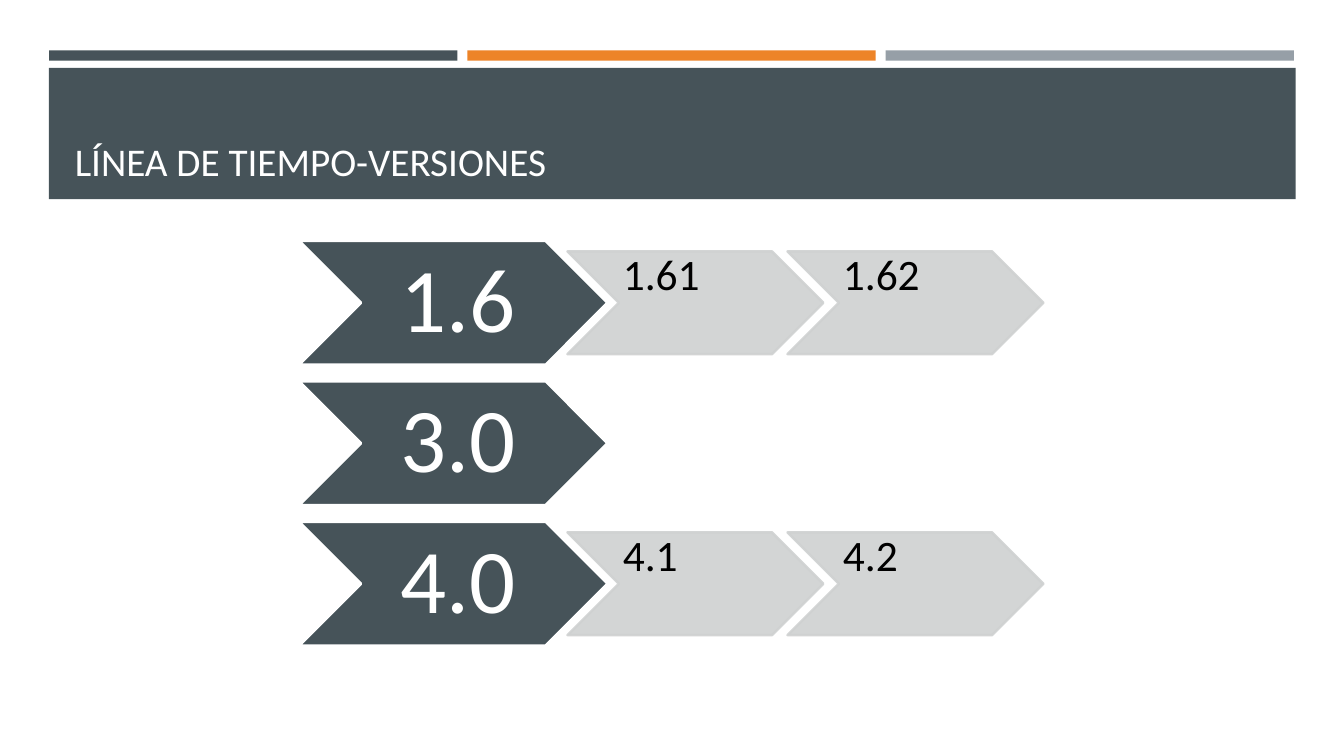
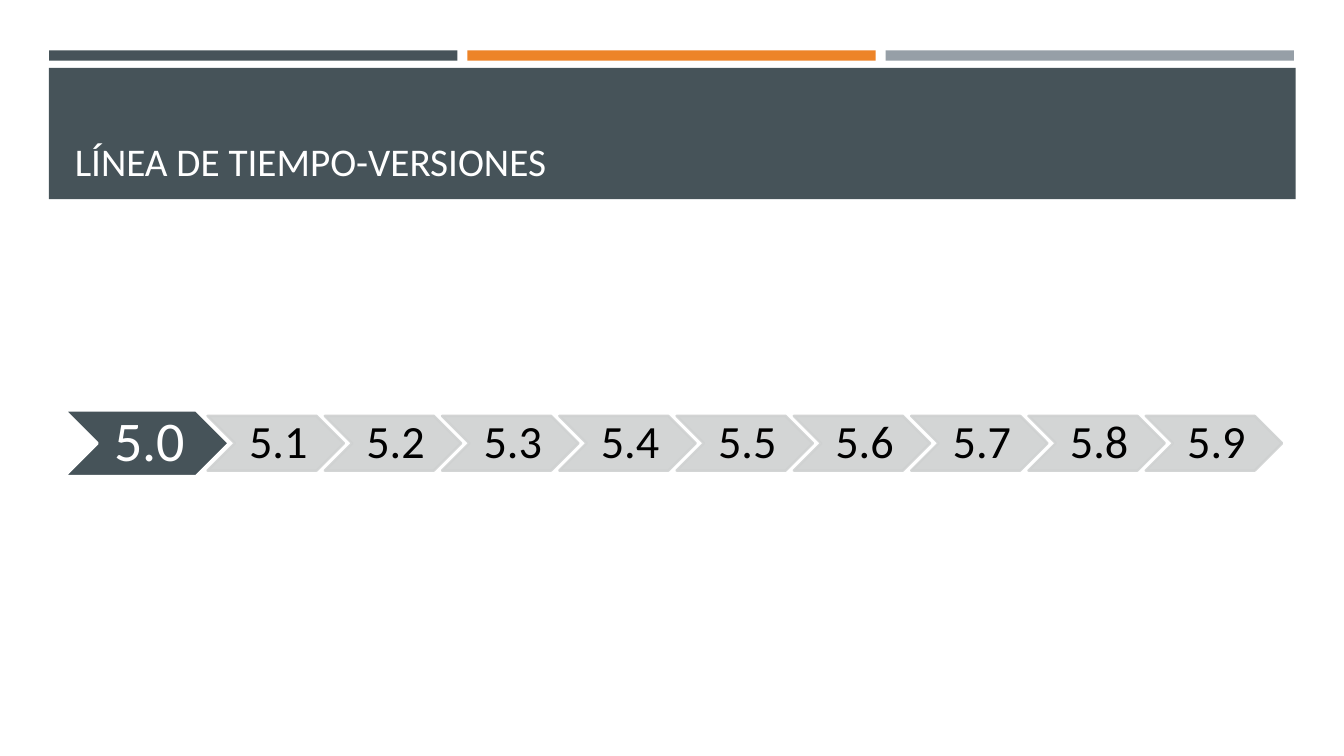
import pptx
import pptx.util
import pptx.dml.color
import pptx.enum.shapes
import pptx.enum.text
import pptx.oxml
import pptx.oxml.ns

Cm = pptx.util.Cm
Pt = pptx.util.Pt
RGBColor = pptx.dml.color.RGBColor
Shape = pptx.enum.shapes.MSO_SHAPE
Anchor = pptx.enum.text.MSO_ANCHOR
Align = pptx.enum.text.PP_ALIGN

# Content: each row is a main version followed by its minor versions
TITLE = "LÍNEA DE TIEMPO-VERSIONES"
TIMELINES = [
    {
        "rows": [("1.6", "1.61", "1.62"), ("3.0",), ("4.0", "4.1", "4.2")],
        "left": 7.54, "top": 6.07, "width": 7.77, "height": 3.12, "row_step": 3.54,
        "main_size": 65, "minor_size": 31,
        "minor_anchor": Anchor.TOP, "minor_align": Align.LEFT,
        "main_insets": (0.23, 0.13), "minor_insets": (0.1, 0.05),
    },
    {
        "rows": [("5.0", "5.1", "5.2", "5.3", "5.4", "5.5", "5.6", "5.7", "5.8", "5.9")],
        "left": 1.63, "top": 10.34, "width": 4.14, "height": 1.66, "row_step": 0,
        "main_size": 40, "minor_size": 33,
        "minor_anchor": Anchor.MIDDLE, "minor_align": Align.CENTER,
        "main_insets": (0.15, 0.08), "minor_insets": (0.13, 0.05),
    },
]

# Shared style
FONT = "Calibri"
SLATE = RGBColor(0x46, 0x53, 0x59)
ORANGE = RGBColor(0xED, 0x84, 0x28)
GREY = RGBColor(0x96, 0x9F, 0xA7)
PALE = RGBColor(0xCF, 0xD1, 0xD1)
WHITE = RGBColor(0xFF, 0xFF, 0xFF)
BLACK = RGBColor(0, 0, 0)
MINOR_OPACITY = 90

# Proportions of the chevron rows
MINOR_SCALE = 0.83
MAIN_OVERLAP = 0.13
MINOR_STEP = 0.86

# Bands: left, top, width, height in cm, colour
STRIP_STEP = 10.54
BANDS = [
    (1.24 + index * STRIP_STEP, 1.27, 10.29, 0.26, color)
    for index, color in enumerate((SLATE, ORANGE, GREY))
] + [(1.23, 1.71, 31.42, 3.31, SLATE)]


def set_attributes(target, values):
    for name, value in values.items():
        setattr(target, name, value)


def add_filled(slide, kind, box, color):
    shape = slide.shapes.add_shape(kind, *(Cm(length) for length in box))
    shape.shadow.inherit = False
    shape.fill.solid()
    shape.fill.fore_color.rgb = color
    return shape


def write_text(shape, text, size, color, frame_values, paragraph_values):
    set_attributes(shape.text_frame, {"word_wrap": True, **frame_values})
    shape.text_frame.text = text
    paragraph = shape.text_frame.paragraphs[0]
    set_attributes(paragraph, paragraph_values)
    font = paragraph.runs[0].font
    set_attributes(font, {"name": FONT, "size": Pt(size)})
    font.color.rgb = color


def add_chevron(slide, box, text, role, timeline):
    main = role == "main"
    fill_color, line_color, text_color = (SLATE, WHITE, WHITE) if main else (PALE, PALE, BLACK)
    shape = add_filled(slide, Shape.CHEVRON, box, fill_color)
    shape.line.color.rgb = line_color
    shape.line.width = Pt(1.75)
    if not main:
        for color in shape._element.spPr.iter(pptx.oxml.ns.qn("a:srgbClr")):
            alpha = color.makeelement(pptx.oxml.ns.qn("a:alpha"), {"val": str(MINOR_OPACITY * 1000)})
            color.append(alpha)
    side, vertical = timeline[role + "_insets"]
    write_text(
        shape, text, timeline[role + "_size"], text_color,
        {
            "vertical_anchor": Anchor.MIDDLE if main else timeline["minor_anchor"],
            "margin_left": Cm(side), "margin_right": 0,
            "margin_top": Cm(vertical), "margin_bottom": Cm(vertical),
        },
        {"alignment": Align.CENTER if main else timeline["minor_align"], "line_spacing": 0.9},
    )


def add_timeline(slide, timeline):
    left, width, height = timeline["left"], timeline["width"], timeline["height"]
    minor_width, minor_height = width * MINOR_SCALE, height * MINOR_SCALE
    minor_left = left + width * (1 - MAIN_OVERLAP)
    for row, (main, *minors) in enumerate(timeline["rows"]):
        top = timeline["top"] + row * timeline["row_step"]
        add_chevron(slide, (left, top, width, height), main, "main", timeline)
        minor_top = top + (height - minor_height) / 2
        for column, minor in enumerate(minors):
            x = minor_left + column * minor_width * MINOR_STEP
            add_chevron(slide, (x, minor_top, minor_width, minor_height), minor, "minor", timeline)


presentation = pptx.Presentation()
set_attributes(presentation, {"slide_width": Cm(33.87), "slide_height": Cm(19.05)})

# Title position and bands live on the layout
layout = presentation.slide_layouts.get_by_name("Title Only")
set_attributes(layout.placeholders[0], {
    "left": Cm(1.63), "top": Cm(1.96), "width": Cm(30.63), "height": Cm(2.82),
})
slides = [presentation.slides.add_slide(layout) for timeline in TIMELINES]
for position, (*box, color) in enumerate(BANDS, start=2):
    band = add_filled(slides[0], Shape.RECTANGLE, box, color)
    band.line.fill.background()
    layout.shapes._spTree.insert(position, band._element)

# Slides
for slide, timeline in zip(slides, TIMELINES):
    write_text(
        slide.shapes.title, TITLE, 28, WHITE,
        {"vertical_anchor": Anchor.BOTTOM, "auto_size": pptx.enum.text.MSO_AUTO_SIZE.NONE},
        {"alignment": Align.LEFT},
    )
    add_timeline(slide, timeline)

presentation.save("out.pptx")
